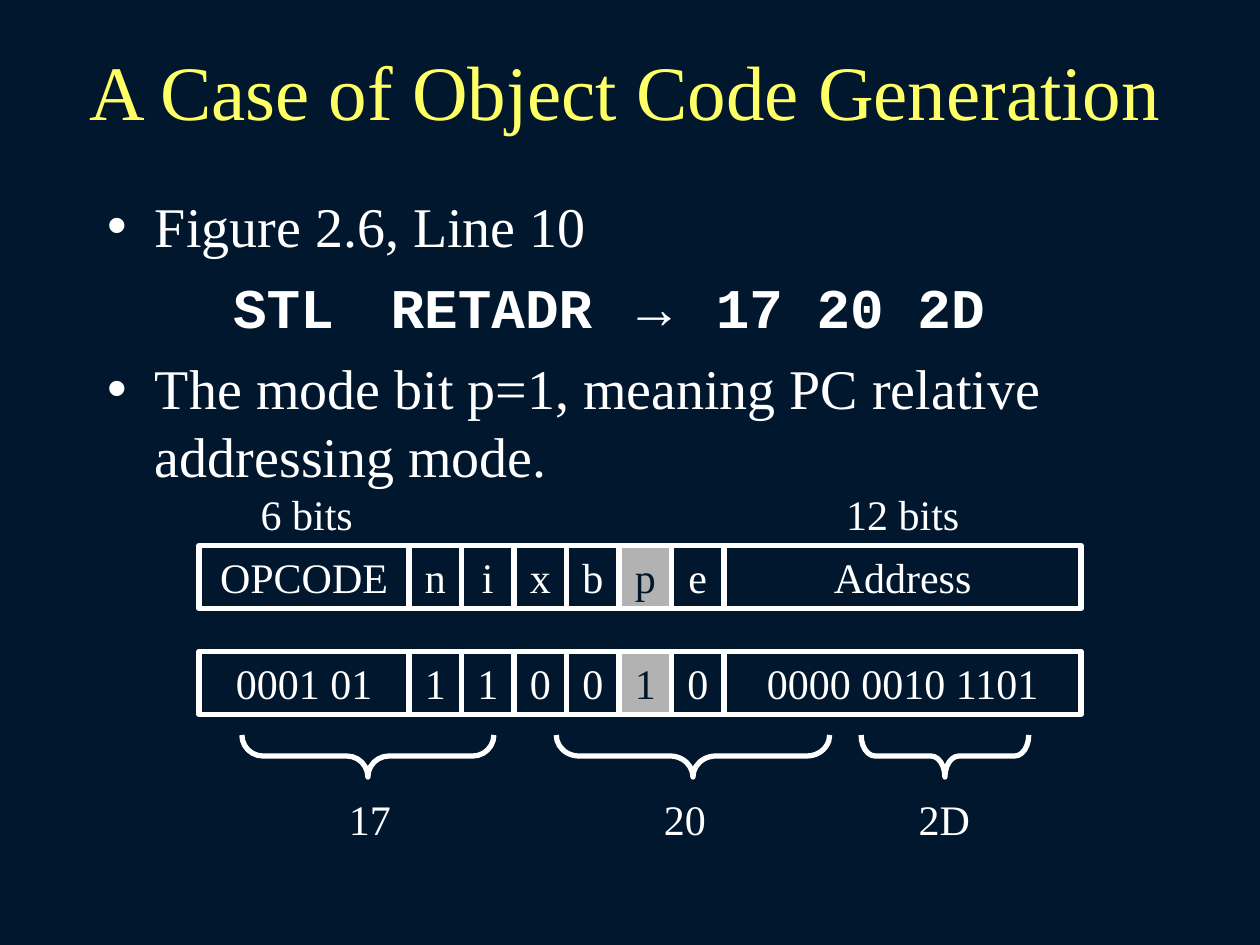
from pptx import Presentation
from pptx import util as u
from pptx.dml.color import RGBColor
from pptx.enum import shapes, text
from pptx.oxml.ns import qn
from lxml import etree

# Content
TITLE = "A Case of Object Code Generation"
SERIF, MONO, SANS = "Times New Roman", "Courier New", "Arial"
# each paragraph: bulleted, runs of (text, font, bold)
BODY = [
    (True, [("Figure 2.6, Line 10", SERIF, False)]),
    (False, [("STL\tRETADR ", MONO, True), ("→", SANS, True),
             (" 17 20 2D", MONO, True)]),
    (True, [("The mode bit p=1, meaning PC relative addressing mode.",
             SERIF, False)]),
]
# each field: name, value, width in bit cells
FIELDS = [
    ("OPCODE", "0001 01", 4), ("n", "1", 1), ("i", "1", 1), ("x", "0", 1),
    ("b", "0", 1), ("p", "1", 1), ("e", "0", 1),
    ("Address", "0000 0010 1101", 6.8),
]
MARKED = "p"
# each label: text, left, top, width, wrap
LABELS = [
    ("6 bits", 1.97, 3.83, 0.93, False), ("12 bits", 5.75, 3.83, 2.83, True),
    ("17", 2.67, 6.25, 0.53, False), ("20", 5.17, 6.25, 0.53, False),
    ("2D", 7.08, 6.25, 0.83, True),
]
# each brace: centre, width
BRACES = [(2.92, 2), (5.5, 2.17), (7.5, 1.33)]
HEX = {"back": "00172E", "title": "FFFF66", "ink": "FFFFFF", "mark": "B2B2B2"}

# Grid, in inches
LEFT, CELL, HIGH = 1.58, 5 / 12, 0.5
ROWS = [4.33, 5.17]
BRACE_MID, BRACE_HIGH = 6, 1 / 3


def color(name):
    return RGBColor.from_string(HEX[name])


def place(shape, *box):
    shape.left, shape.top, shape.width, shape.height = map(u.Inches, box)


def add_run(para, words, size, ink="ink", face=SERIF, bold=False):
    run = para.add_run()
    run.text = words
    font = run.font
    font.size, font.name, font.bold = u.Pt(size), face, bold
    font.color.rgb = color(ink)


def center(shape, words, ink="ink", wrap=True):
    frame = shape.text_frame
    frame.word_wrap = wrap
    frame.vertical_anchor = text.MSO_ANCHOR.TOP
    para = frame.paragraphs[0]
    para.alignment = text.PP_ALIGN.CENTER
    add_run(para, words, 24, ink)


def outline(kind, *box):
    shape = slide.shapes.add_shape(kind, *map(u.Inches, box))
    shape.shadow.inherit = False
    shape.fill.background()
    shape.line.color.rgb = color("ink")
    shape.line.width = u.Pt(3)
    return shape


def set_list(para, dot):
    props = para._p.get_or_add_pPr()
    margin, indent = (0.38, -0.38) if dot else (1.25, -0.25)
    props.set("marL", str(u.Inches(margin)))
    props.set("indent", str(u.Inches(indent)))
    if dot:
        tint = etree.SubElement(props, qn("a:buClr"))
        etree.SubElement(tint, qn("a:srgbClr"), val=HEX["ink"])
        etree.SubElement(props, qn("a:buFont"), typeface=SANS)
        etree.SubElement(props, qn("a:buChar"), char="•")
    else:
        etree.SubElement(props, qn("a:buNone"))
        tabs = etree.SubElement(props, qn("a:tabLst"))
        for stop in [0, *range(2, 9)]:
            etree.SubElement(tabs, qn("a:tab"), pos=str(u.Inches(stop)),
                             algn="l")


# Slide
deck = Presentation()
deck.slide_width, deck.slide_height = u.Inches(10), u.Inches(7.5)
slide = deck.slides.add_slide(deck.slide_layouts[1])
slide.background.fill.solid()
slide.background.fill.fore_color.rgb = color("back")

# Title
title = slide.shapes.title
place(title, 0.2, 0.25, 9.53, 0.92)
frame = title.text_frame
frame.auto_size = text.MSO_AUTO_SIZE.NONE
frame.vertical_anchor = text.MSO_ANCHOR.MIDDLE
frame.paragraphs[0].alignment = text.PP_ALIGN.CENTER
add_run(frame.paragraphs[0], TITLE, 44, "title")

# Body list
body = slide.placeholders[1]
place(body, 0.75, 1.47, 8.5, 5.75)
frame = body.text_frame
frame.auto_size = text.MSO_AUTO_SIZE.NONE
for n, (dot, runs) in enumerate(BODY):
    para = frame.add_paragraph() if n else frame.paragraphs[0]
    para.level = 0 if dot else 2
    set_list(para, dot)
    para.line_spacing = 1.0
    para.space_before = u.Pt(8 if n else 0)
    for words, face, bold in runs:
        add_run(para, words, 32, face=face, bold=bold)

# Instruction format and its bits
for row, top in enumerate(ROWS):
    left = LEFT
    for field in FIELDS:
        wide = field[2] * CELL
        box = outline(shapes.MSO_SHAPE.RECTANGLE, left, top, wide, HIGH)
        marked = field[0] == MARKED
        if marked:
            box.fill.solid()
            box.fill.fore_color.rgb = color("mark")
        center(box, field[row], "back" if marked else "ink")
        left += wide

# Labels
for words, left, top, wide, wrap in LABELS:
    box = slide.shapes.add_textbox(*map(u.Inches, (left, top, wide, HIGH)))
    center(box, words, wrap=wrap)

# Braces, turned to point down
for mid, wide in BRACES:
    brace = outline(shapes.MSO_SHAPE.LEFT_BRACE, mid - BRACE_HIGH / 2,
                    BRACE_MID - wide / 2, BRACE_HIGH, wide)
    brace.rotation = 270
    brace.adjustments[0] = wide / 12 / BRACE_HIGH

deck.save("out.pptx")
